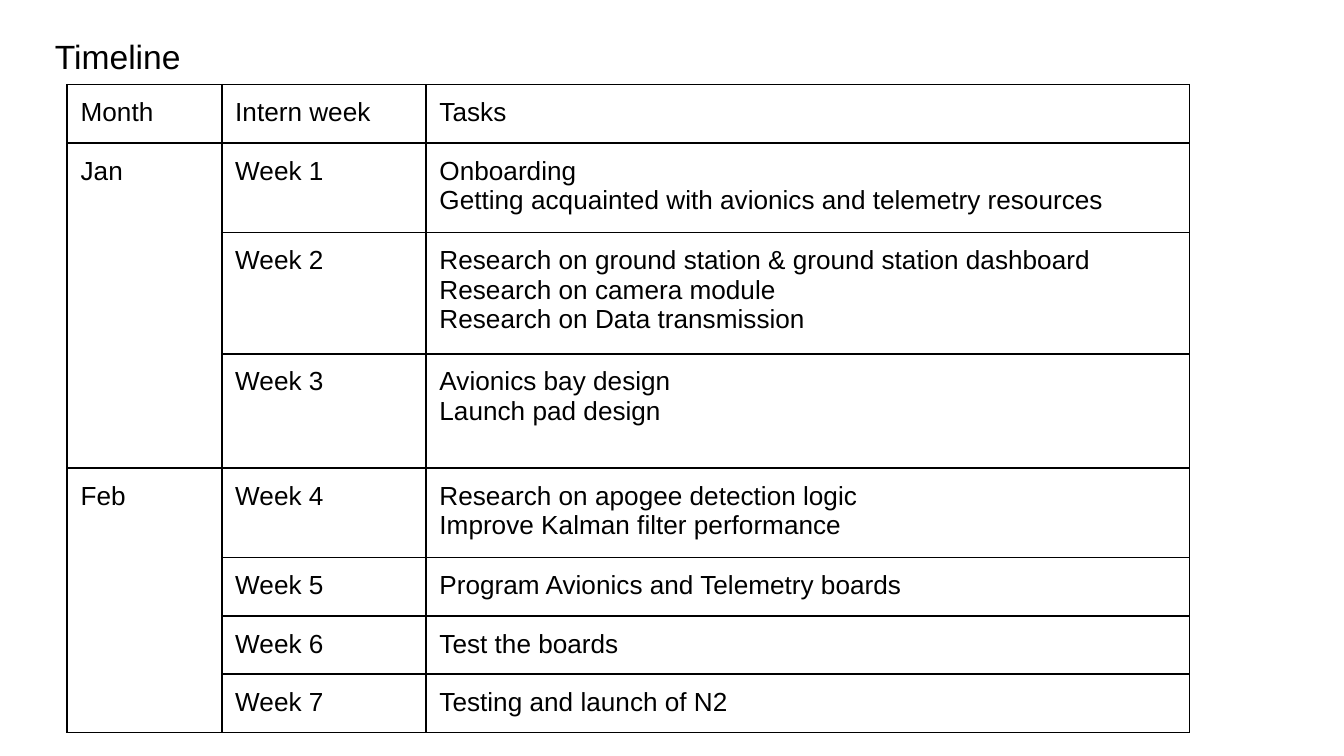
from lxml import etree
from pptx import Presentation
from pptx.dml.color import RGBColor
from pptx.enum.text import MSO_ANCHOR
from pptx.oxml.ns import qn
from pptx.util import Inches, Pt

BLACK = RGBColor(0, 0, 0)
MIDDLE = MSO_ANCHOR.MIDDLE
FONT = "Arial"
COL_WIDTHS = [1.15, 1.52, 5.68]
ROW_HEIGHTS = [0.43, 0.65, 0.88, 0.85, 0.65, 0.43, 0.43, 0.43]
HEADER = ["Month", "Intern week", "Tasks"]
MONTHS = [
    ("Jan", [
        "Onboarding\nGetting acquainted with avionics and telemetry resources",
        "Research on ground station & ground station dashboard\n"
        "Research on camera module\nResearch on Data transmission",
        "Avionics bay design\nLaunch pad design",
    ]),
    ("Feb", [
        "Research on apogee detection logic\nImprove Kalman filter performance",
        "Program Avionics and Telemetry boards",
        "Test the boards",
        "Testing and launch of N2",
    ]),
]


def set_text(tf, text, size):
    tf.text = text
    for p in tf.paragraphs:
        p.font.name = FONT
        p.font.size = Pt(size)
        p.font.color.rgb = BLACK


def add_title(s, text):
    tf = s.shapes.add_textbox(Inches(0.31), Inches(0.16), Inches(8.75), Inches(0.36)).text_frame
    tf.word_wrap = True
    tf.vertical_anchor = MIDDLE
    tf.margin_top, tf.margin_bottom = Inches(0.15), 0
    set_text(tf, text, 18)


def format_cell(cell):
    cell.margin_left = cell.margin_right = Inches(0.1)
    cell.margin_top = cell.margin_bottom = Inches(0.1)
    tc_pr = cell._tc.get_or_add_tcPr()
    for side in ("a:lnL", "a:lnR", "a:lnT", "a:lnB"):
        ln = etree.SubElement(tc_pr, qn(side), w=str(Pt(1)))
        fill = etree.SubElement(ln, qn("a:solidFill"))
        etree.SubElement(fill, qn("a:srgbClr"), val=str(BLACK))
    cell.fill.background()


def add_timeline(s):
    table = s.shapes.add_table(
        len(ROW_HEIGHTS), len(COL_WIDTHS), Inches(0.5), Inches(0.63),
        Inches(sum(COL_WIDTHS)), Inches(sum(ROW_HEIGHTS))).table
    table.first_row = table.horz_banding = False
    for col, width in zip(table.columns, COL_WIDTHS):
        col.width = Inches(width)
    for row, height in zip(table.rows, ROW_HEIGHTS):
        row.height = Inches(height)
    for cell in table.iter_cells():
        format_cell(cell)
    for col, text in enumerate(HEADER):
        set_text(table.cell(0, col).text_frame, text, 14)
    row = 1
    for month, weeks in MONTHS:
        table.cell(row, 0).merge(table.cell(row + len(weeks) - 1, 0))
        set_text(table.cell(row, 0).text_frame, month, 14)
        for tasks in weeks:
            set_text(table.cell(row, 1).text_frame, f"Week {row}", 14)
            set_text(table.cell(row, 2).text_frame, tasks, 14)
            row += 1


def main():
    """Build the timeline slide."""
    prs = Presentation()
    prs.slide_width = Inches(10)
    prs.slide_height = prs.slide_width * 9 // 16
    s = prs.slides.add_slide(prs.slide_layouts[6])
    add_title(s, "Timeline")
    add_timeline(s)
    prs.save("out.pptx")


if __name__ == "__main__":
    main()
